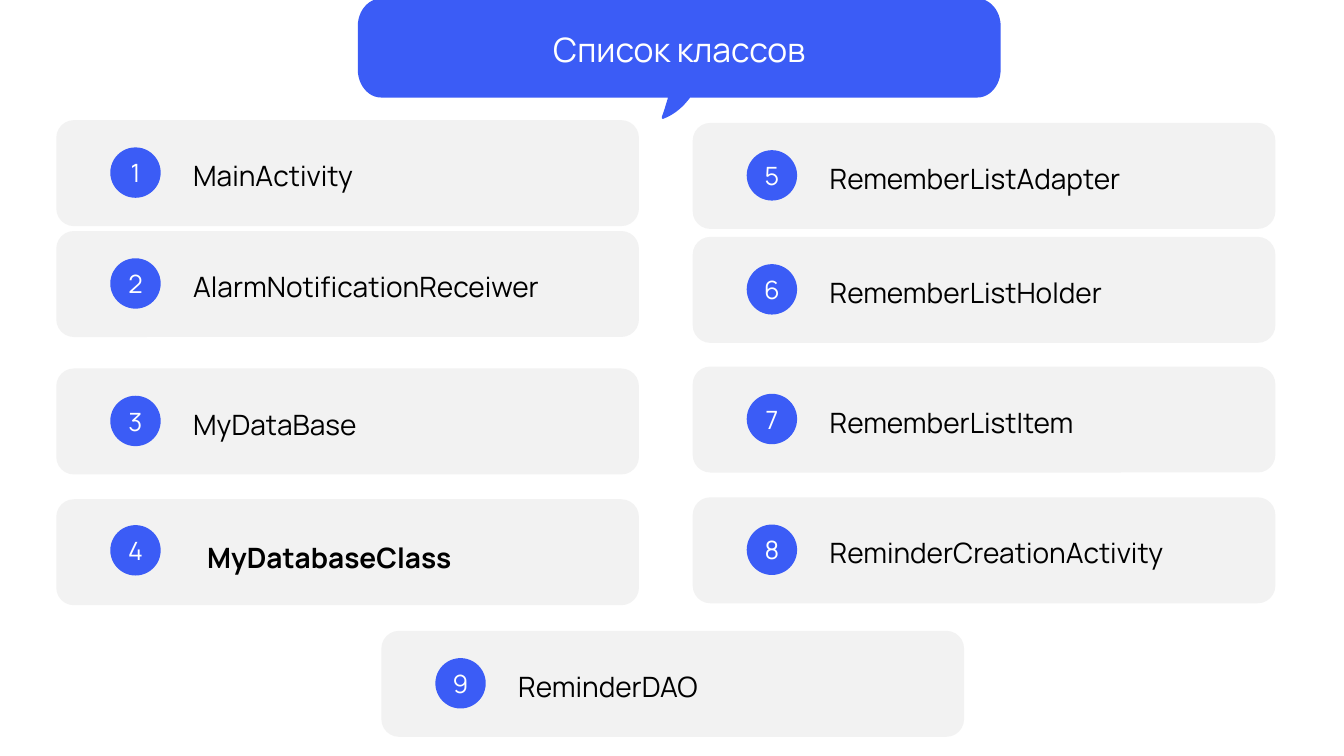
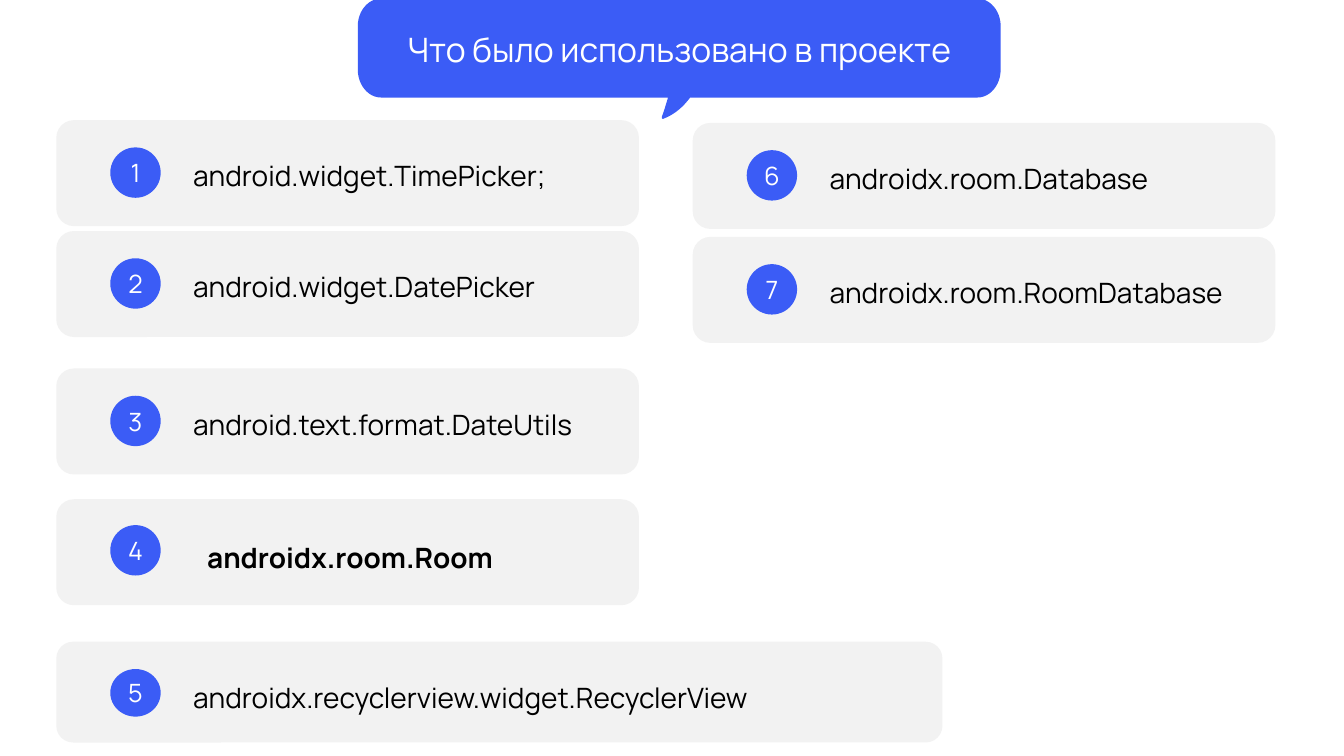
"""Build two slides of numbered cards under a speech-bubble title."""
from dataclasses import dataclass

from pptx import Presentation
from pptx.dml.color import RGBColor
from pptx.enum.shapes import MSO_SHAPE
from pptx.enum.text import MSO_ANCHOR, MSO_AUTO_SIZE, PP_ALIGN
from pptx.util import Pt

CARD, BADGE = MSO_SHAPE.ROUNDED_RECTANGLE, MSO_SHAPE.OVAL
MIDDLE, TOP = MSO_ANCHOR.MIDDLE, MSO_ANCHOR.TOP
CENTER, LEFT = PP_ALIGN.CENTER, PP_ALIGN.LEFT
GROW = MSO_AUTO_SIZE.SHAPE_TO_FIT_TEXT


@dataclass(frozen=True)
class Theme:
    font: str = "Manrope"
    accent: RGBColor = RGBColor(0x3B, 0x5C, 0xF6)
    panel: RGBColor = RGBColor(0xF2, 0xF2, 0xF2)
    ink: RGBColor = RGBColor(0, 0, 0)
    light: RGBColor = RGBColor(255, 255, 255)
    title_size: int = 24
    label_size: int = 20
    badge_size: int = 18


CARD_WIDTH, CARD_HEIGHT = 416.2, 75.7
BADGE_LEFT, BADGE_SIZE = 38.6, 36
LABEL_LEFT, LABEL_HEIGHT = 90.7, 31.5
LEFT_X, RIGHT_X, MIDDLE_X = 40.2, 494.8, 272.4
LEFT_TOPS = (85.8, 165, 263.2, 356.6)
RIGHT_TOPS = (87.8, 169.2, 261.8, 355.2)
LEFT_SPOTS = [(LEFT_X, top) for top in LEFT_TOPS]
RIGHT_SPOTS = [(RIGHT_X, top) for top in RIGHT_TOPS]

BUBBLE_START = (272.2, -1)
BUBBLE_CURVES = [
    [(263, -1), (255.6, 8), (255.6, 18.7)],
    [(255.6, 49.7)],
    [(255.6, 60.6), (263, 69.7), (272.2, 69.7)],
    [(477.2, 69.7)],
    [(477.2, 69.7), (474, 80.6), (473, 82.8)],
    [(472.4, 84.4), (473, 85.2), (474, 84.8)],
    [(483, 81.4), (489, 75), (493, 69.7)],
    [(698.2, 69.7)],
    [(707.4, 69.7), (714.8, 60.6), (714.8, 49.7)],
    [(714.8, 18.7)],
    [(714.8, 8), (707.4, -1), (698.2, -1)],
]


def curve_points(start, curve, steps=12):
    if len(curve) == 1:
        return curve
    points = [start, *curve]
    result = []
    for step in range(1, steps + 1):
        t = step / steps
        weights = ((1 - t) ** 3, 3 * t * (1 - t) ** 2, 3 * t * t * (1 - t), t ** 3)
        result.append(tuple(sum(w * p[axis] for w, p in zip(weights, points))
                            for axis in (0, 1)))
    return result


def bubble_outline():
    outline = [BUBBLE_START]
    for curve in BUBBLE_CURVES:
        outline += curve_points(outline[-1], curve)
    return [(Pt(x), Pt(y)) for x, y in outline]


class Deck:
    def __init__(self, theme):
        self.theme = theme
        self.presentation = Presentation()
        self.presentation.slide_width = Pt(960)
        self.presentation.slide_height = Pt(540)
        self.slide = None

    def new_slide(self):
        blank = self.presentation.slide_layouts[6]
        self.slide = self.presentation.slides.add_slide(blank)

    def paint(self, shape, color):
        shape.shadow.inherit = False
        shape.fill.solid()
        shape.fill.fore_color.rgb = color
        shape.line.fill.background()

    def put_text(self, shape, text, size, color, margins, bold=False,
                 align=CENTER, anchor=MIDDLE):
        frame = shape.text_frame
        frame.word_wrap = True
        frame.vertical_anchor = anchor
        for side, margin in zip(("left", "top", "right", "bottom"), margins):
            setattr(frame, f"margin_{side}", Pt(margin))
        paragraph = frame.paragraphs[0]
        paragraph.alignment = align
        run = paragraph.add_run()
        run.text = text
        formats = {"name": self.theme.font, "size": Pt(size), "bold": bold}
        for attribute, value in formats.items():
            setattr(run.font, attribute, value)
        run.font.color.rgb = color

    def shape(self, kind, left, top, width, height, color):
        box = map(Pt, (left, top, width, height))
        shape = self.slide.shapes.add_shape(kind, *box)
        self.paint(shape, color)
        return shape

    def title(self, text):
        start, *rest = bubble_outline()
        builder = self.slide.shapes.build_freeform(*start, scale=1.0)
        builder.add_line_segments(rest, close=True)
        bubble = builder.convert_to_shape()
        self.paint(bubble, self.theme.accent)
        self.put_text(bubble, text, self.theme.title_size, self.theme.light,
                      (20, 6, 20, 20))

    def label(self, text, left, top, width, bold):
        box = map(Pt, (left, top, width, LABEL_HEIGHT))
        label = self.slide.shapes.add_textbox(*box)
        self.put_text(label, text, self.theme.label_size, self.theme.ink,
                      (7.2, 3.6, 7.2, 3.6), bold, LEFT, TOP)
        label.text_frame.auto_size = GROW

    def card(self, number, text, left, top, width=CARD_WIDTH,
             height=CARD_HEIGHT, badge_height=BADGE_SIZE, bold=False):
        self.shape(CARD, left, top, width, height, self.theme.panel)
        indent = LABEL_LEFT + (10 if bold else 0)
        self.label(text, left + indent, top + (26 if bold else 24),
                   width - indent, bold)
        badge = self.shape(BADGE, left + BADGE_LEFT, top + (18.5 if bold else 19.5),
                           BADGE_SIZE, badge_height, self.theme.accent)
        self.put_text(badge, str(number), self.theme.badge_size, self.theme.light,
                      (0, 0, 0, 0))

    def cards(self, names, spots, first=1, bold_number=None):
        for number, (name, spot) in enumerate(zip(names, spots), first):
            self.card(number, name, *spot, bold=number == bold_number)


def main():
    deck = Deck(Theme())

    deck.new_slide()
    deck.title("Список классов")
    classes = ["MainActivity", "AlarmNotificationReceiwer", "MyDataBase",
               "MyDatabaseClass", "RememberListAdapter", "RememberListHolder",
               "RememberListItem", "ReminderCreationActivity", "ReminderDAO"]
    deck.cards(classes, LEFT_SPOTS + RIGHT_SPOTS + [(MIDDLE_X, 450.6)],
               bold_number=4)

    deck.new_slide()
    deck.title("Что было использовано в проекте")
    widgets = ["android.widget.TimePicker;", "android.widget.DatePicker",
               "android.text.format.DateUtils", "androidx.room.Room"]
    deck.cards(widgets, LEFT_SPOTS, bold_number=4)
    deck.card(5, "androidx.recyclerview.widget.RecyclerView", LEFT_X, 458.4,
              width=633, height=72, badge_height=34)
    room_classes = ["androidx.room.Database", "androidx.room.RoomDatabase"]
    deck.cards(room_classes, RIGHT_SPOTS, first=6)

    deck.presentation.save("out.pptx")


if __name__ == "__main__":
    main()
